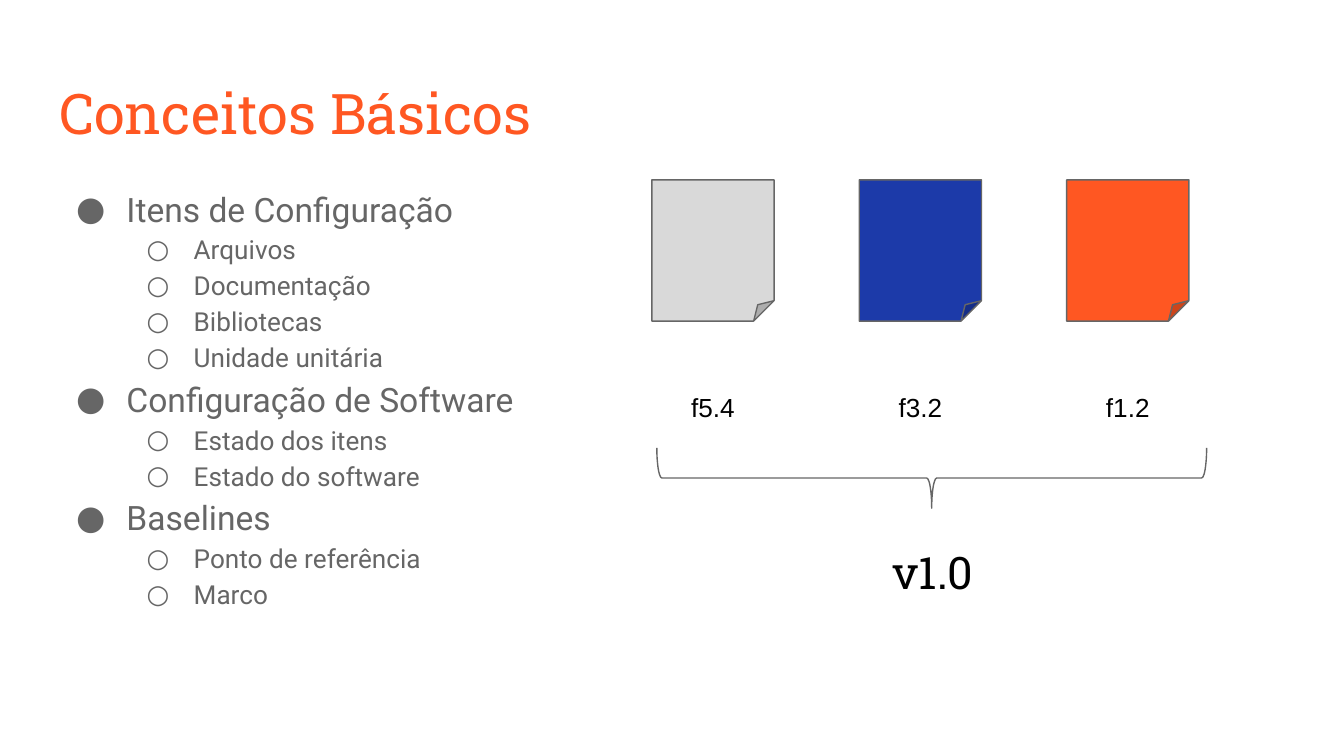
from dataclasses import dataclass

from lxml import etree
from pptx import Presentation
from pptx import util as u
from pptx.dml.color import RGBColor
from pptx.enum import shapes, text
from pptx.oxml.ns import qn


@dataclass(frozen=True)
class Theme:
    accent: str = "FF5722"
    blue: str = "1C3AA9"
    light: str = "D9D9D9"
    grey: str = "666666"
    black: str = "000000"
    heading: str = "Roboto Slab"
    body: str = "Roboto"
    label: str = "Arial"
    title_size: int = 30
    version_size: int = 24
    item_size: int = 18
    detail_size: int = 14


theme = Theme()


def style_text(paragraph, face, size, color, align):
    paragraph.alignment = align
    paragraph.font.name = face
    paragraph.font.size = u.Pt(size)
    paragraph.font.color.rgb = RGBColor.from_string(color)


def prepare_frame(frame, anchor):
    frame.word_wrap = True
    frame.auto_size = text.MSO_AUTO_SIZE.NONE
    frame.vertical_anchor = anchor
    frame.margin_left = frame.margin_right = u.Cm(0.25)
    frame.margin_top = frame.margin_bottom = u.Cm(0.25)


prs = Presentation()
prs.slide_width, prs.slide_height = u.Cm(25.4), u.Cm(14.29)
slide = prs.slides.add_slide(prs.slide_layouts[1])

# Title
title = slide.shapes.title
title.left, title.top, title.width, title.height = u.Cm(0.87), u.Cm(1.24), u.Cm(23.67), u.Cm(1.6)
prepare_frame(title.text_frame, text.MSO_ANCHOR.TOP)
title.text_frame.text = "Conceitos Básicos"
style_text(title.text_frame.paragraphs[0], theme.heading, theme.title_size,
           theme.accent, text.PP_ALIGN.LEFT)

# Concepts and their details
concepts = {
    "Itens de Configuração": ["Arquivos", "Documentação", "Bibliotecas", "Unidade unitária"],
    "Configuração de Software": ["Estado dos itens", "Estado do software"],
    "Baselines": ["Ponto de referência", "Marco"],
}
outline = []
for concept, details in concepts.items():
    outline.append((0, concept))
    outline += [(1, detail) for detail in details]

levels = [  # bullet, left margin, hanging indent, type size
    ("●", u.Cm(1.27), u.Cm(-0.95), theme.item_size),
    ("○", u.Cm(2.54), u.Cm(-0.89), theme.detail_size),
]
body = slide.placeholders[1]
body.left, body.top, body.width, body.height = u.Cm(0.87), u.Cm(3.2), u.Cm(23.67), u.Cm(9.5)
prepare_frame(body.text_frame, text.MSO_ANCHOR.TOP)
for index, (level, wording) in enumerate(outline):
    item = body.text_frame.add_paragraph() if index else body.text_frame.paragraphs[0]
    item.text = wording
    item.level = level
    item.line_spacing = 1.15
    item.space_before = u.Pt(0)
    item.space_after = u.Pt(16 if index == len(outline) - 1 else 0)
    bullet, margin, hanging, size = levels[level]
    properties = item._p.get_or_add_pPr()
    properties.set("marL", str(margin))
    properties.set("indent", str(hanging))
    bullet_color = etree.SubElement(properties, qn("a:buClr"))
    etree.SubElement(bullet_color, qn("a:srgbClr"), val=theme.grey)
    etree.SubElement(properties, qn("a:buFont"), typeface=theme.body)
    etree.SubElement(properties, qn("a:buChar"), char=bullet)
    style_text(item, theme.body, size, theme.grey, text.PP_ALIGN.LEFT)

# Files, and the brace that joins them into one version
outlined = []
sheet_width, sheet_step, label_width = 2.31, 3.92, 2.08
captions = []  # wording, left, top, width, face, size
for index, (revision, color) in enumerate(
        [("f5.4", theme.light), ("f3.2", theme.blue), ("f1.2", theme.accent)]):
    left = 12.32 + index * sheet_step
    sheet = slide.shapes.add_shape(shapes.MSO_SHAPE.FOLDED_CORNER, u.Cm(left), u.Cm(3.4),
                                   u.Cm(sheet_width), u.Cm(2.67))
    sheet.fill.solid()
    sheet.fill.fore_color.rgb = RGBColor.from_string(color)
    outlined.append(sheet)
    captions.append((revision, left + (sheet_width - label_width) / 2, 7.04, label_width,
                     theme.label, theme.detail_size))

brace = slide.shapes.add_shape(shapes.MSO_SHAPE.LEFT_BRACE, u.Cm(17.04), u.Cm(3.84),
                               u.Cm(1.14), u.Cm(10.39))
brace.rotation = 270
brace.fill.background()
outlined.append(brace)
captions.append(("v1.0", 16.31, 10.16, 2.64, theme.heading, theme.version_size))

for shape in outlined:
    shape.shadow.inherit = False
    shape.line.color.rgb = RGBColor.from_string(theme.grey)
    shape.line.width = u.Pt(0.75)

for wording, left, top, width, face, size in captions:
    caption = slide.shapes.add_textbox(u.Cm(left), u.Cm(top), u.Cm(width), u.Cm(1.3))
    prepare_frame(caption.text_frame, text.MSO_ANCHOR.MIDDLE)
    caption.text_frame.text = wording
    style_text(caption.text_frame.paragraphs[0], face, size, theme.black, text.PP_ALIGN.CENTER)

prs.save("out.pptx")
